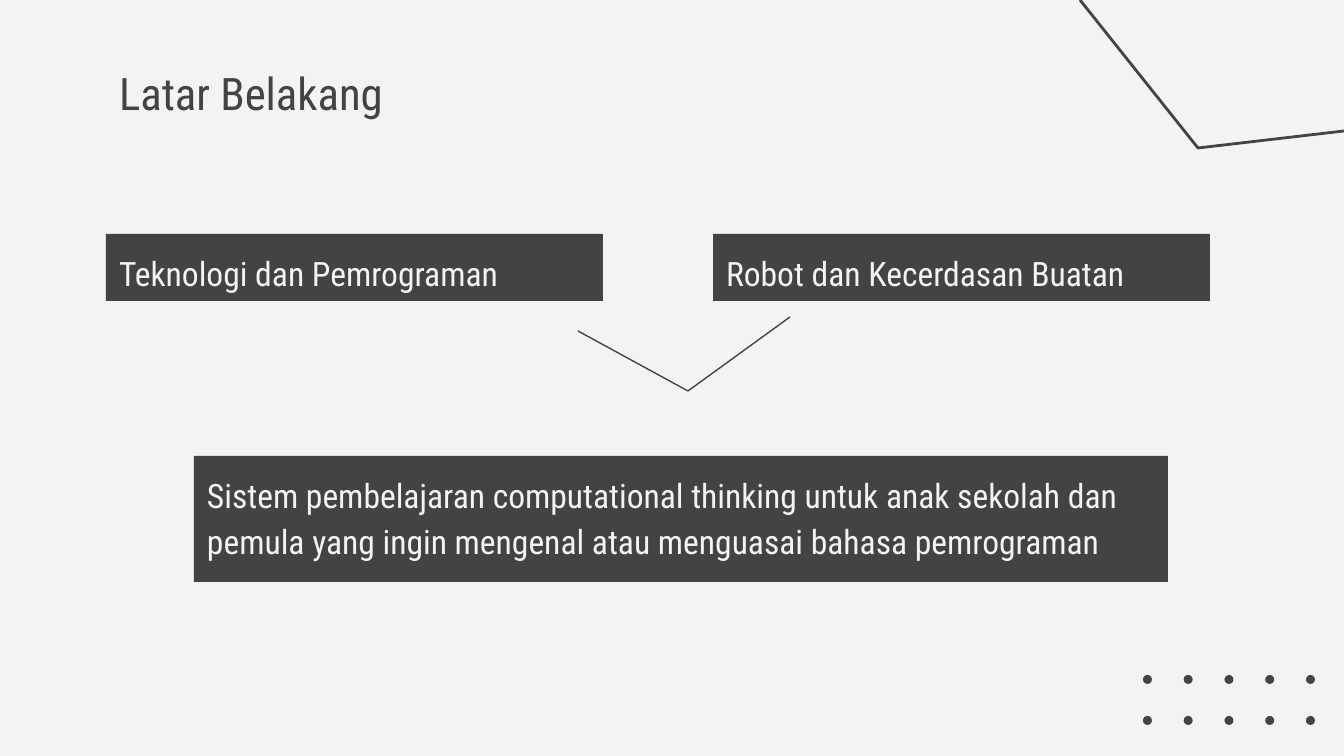
from dataclasses import dataclass

from lxml.etree import SubElement
from pptx import Presentation
from pptx.dml.color import RGBColor
from pptx.enum.shapes import MSO_CONNECTOR as Connector, MSO_SHAPE as Shape
from pptx.enum.text import MSO_ANCHOR as Anchor, MSO_AUTO_SIZE as AutoSize, PP_ALIGN as Align
from pptx.oxml.ns import qn
from pptx.util import Pt

PX = 914400 / 134.4  # EMU in one px
PAGE_SIZE = (1344, 756)


@dataclass(frozen=True)
class Theme:
    font: str = "Roboto Condensed"
    dark: RGBColor = RGBColor(0x43, 0x43, 0x43)
    light: RGBColor = RGBColor(0xF3, 0xF3, 0xF3)
    title_size: int = 24
    body_size: int = 18
    corner_line: float = 1.5
    arrow_line: float = 0.75
    line_spacing: float = 1.15
    space_after: int = 16
    inset: int = 13


THEME = Theme()


def emu(*lengths):
    return [round(length * PX) for length in lengths]


def write_text(shape, text, size, color):
    frame = shape.text_frame
    frame.text = text
    frame.word_wrap = True
    frame.auto_size = AutoSize.NONE
    frame.vertical_anchor = Anchor.TOP
    inset, = emu(THEME.inset)
    frame.margin_left = frame.margin_right = inset
    frame.margin_top = frame.margin_bottom = inset
    para = frame.paragraphs[0]
    para.alignment = Align.LEFT
    font = para.runs[0].font
    font.name, font.size, font.color.rgb = THEME.font, Pt(size), color
    return para


def add_title(page, box, text):
    title = page.shapes.title
    title.left, title.top, title.width, title.height = emu(*box)
    write_text(title, text, THEME.title_size, THEME.dark)


def add_solid(page, kind, box):
    shape = page.shapes.add_shape(kind, *emu(*box))
    shape.shadow.inherit = False
    shape.fill.solid()
    shape.fill.fore_color.rgb = THEME.dark
    shape.line.fill.background()
    return shape


def add_panel(page, box, text):
    panel = add_solid(page, Shape.RECTANGLE, box)
    para = write_text(panel, text, THEME.body_size, THEME.light)
    para.line_spacing = THEME.line_spacing
    para.space_after = Pt(THEME.space_after)


def add_dot_grid(page, box, columns=5, rows=2, dot=9):
    """Spread dots evenly so that the outer ones touch the box edges."""
    left, top, width, height = box
    step_x = (width - dot) / (columns - 1)
    step_y = (height - dot) / (rows - 1)
    for row in range(rows):
        for column in range(columns):
            add_solid(page, Shape.OVAL,
                      (left + column * step_x, top + row * step_y, dot, dot))


def add_corner_line(page, box):
    left, top, width, height = box
    builder = page.shapes.build_freeform(left, top, scale=PX)
    builder.add_line_segments(
        [(left + 118, top + height), (left + width, top + height - 17)], close=False)
    corner = builder.convert_to_shape()
    corner.shadow.inherit = False
    corner.fill.background()
    corner.line.color.rgb = THEME.dark
    corner.line.width = Pt(THEME.corner_line)


def add_arrow_lines(page, box):
    """Join two lines at the bottom of the box, the left one starting lower."""
    left, top, width, height = box
    tip = (left + 110, top + height)
    for start in ((left + width, top), (left, top + 14)):
        line = page.shapes.add_connector(Connector.STRAIGHT, *emu(*start, *tip))
        line.line.color.rgb = THEME.dark
        line.line.width = Pt(THEME.arrow_line)
        SubElement(line.element.spPr, qn("a:effectLst"))


def build_background_page(deck):
    page = deck.slides.add_slide(deck.slide_layouts[5])
    page.background.fill.solid()
    page.background.fill.fore_color.rgb = THEME.light
    add_dot_grid(page, (1143, 675, 172, 50))
    add_corner_line(page, (1080, 0, 264, 148))
    add_title(page, (106, 53, 473, 122), "Latar Belakang")
    topics = ("Teknologi dan Pemrograman", "Robot dan Kecerdasan Buatan")
    for index, topic in enumerate(topics):
        add_panel(page, (106 + index * 607, 234, 497, 67), topic)
    add_panel(page, (194, 456, 974, 126),
              "Sistem pembelajaran computational thinking untuk anak sekolah dan "
              "pemula yang ingin mengenal atau menguasai bahasa pemrograman")
    add_arrow_lines(page, (578, 317, 212, 74))


def main():
    deck = Presentation()
    deck.slide_width, deck.slide_height = emu(*PAGE_SIZE)
    build_background_page(deck)
    deck.save("out.pptx")


if __name__ == "__main__":
    main()
